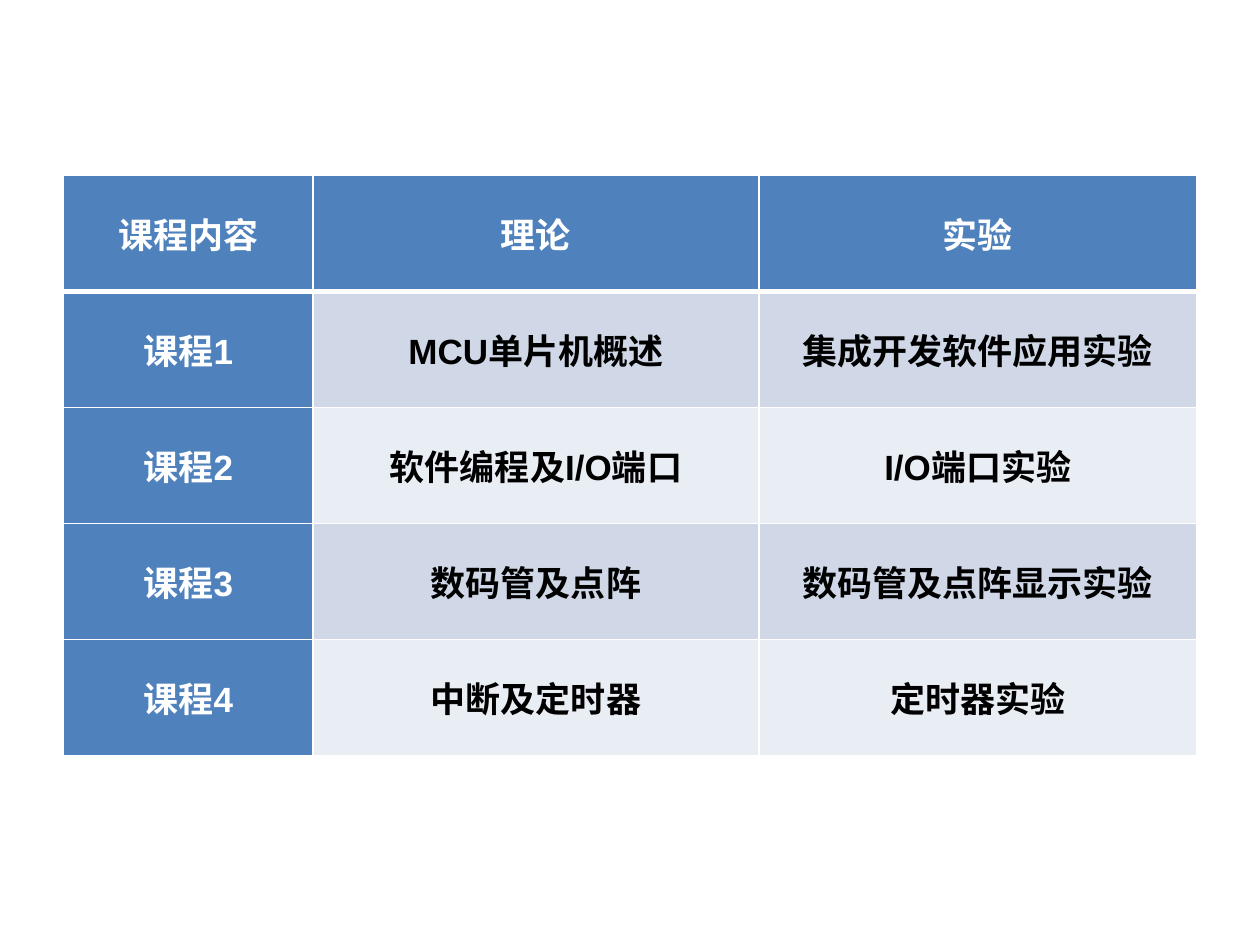
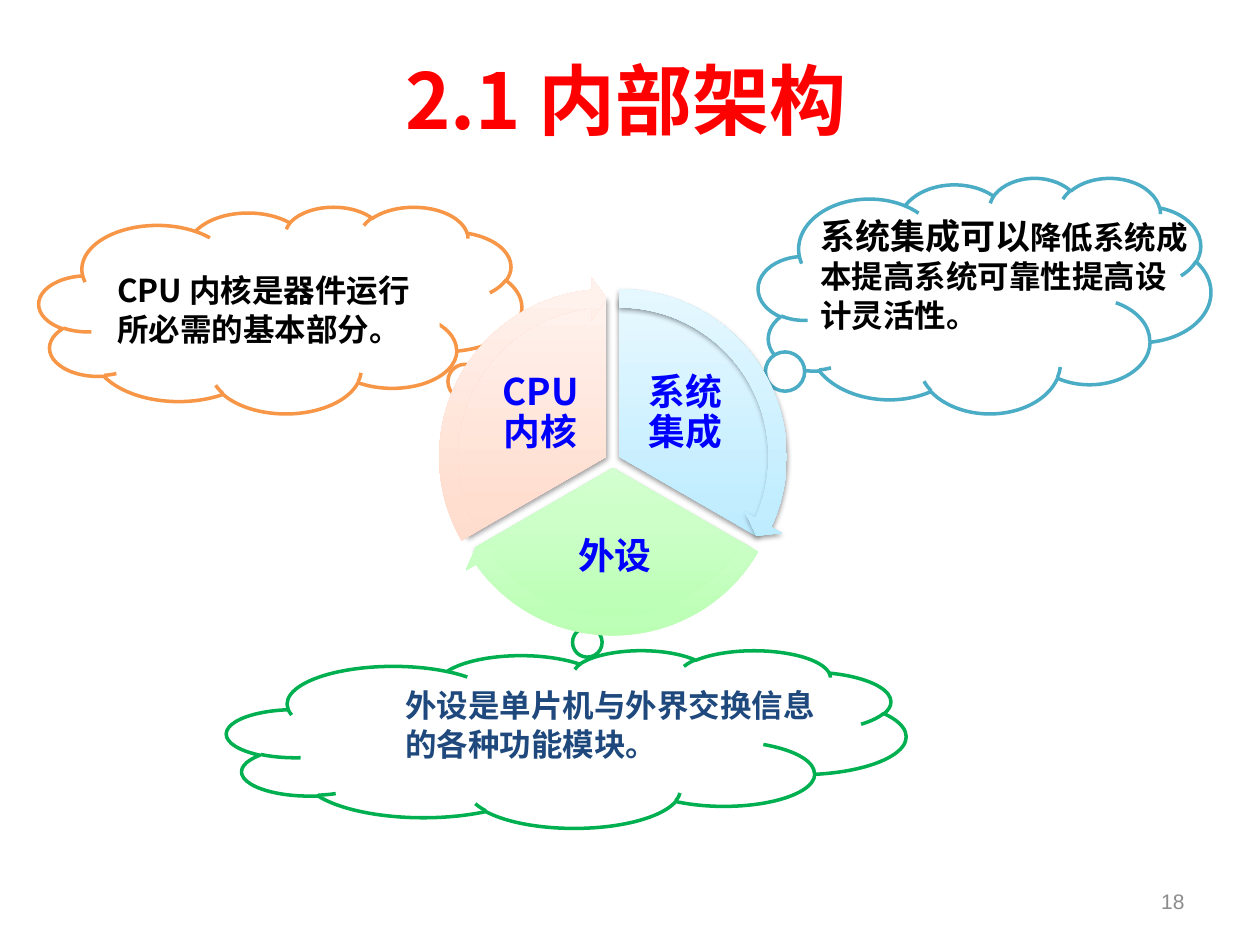
from lxml.etree import SubElement
from pptx import Presentation
from pptx.dml.color import RGBColor
from pptx.enum.shapes import MSO_SHAPE as Preset
from pptx.enum.text import MSO_ANCHOR as Anchor, PP_ALIGN as Align
from pptx.oxml.ns import qn
from pptx.util import Pt

ARIAL, NOTO = "Arial", "Noto Sans CJK SC"
WHITE, BLACK, RED, BLUE = "FFFFFF", "000000", "FF0000", "0000FF"
NAVY, GREY = "1F497D", "8C8C8C"
HEADER, BAND_DARK, BAND_LIGHT = "4F81BD", "D0D8E8", "E9EDF4"
ORANGE, TEAL, GREEN = "F79646", "4BACC6", "00B050"

COURSES = [
    ("课程内容", "理论", "实验"),
    ("课程1", "MCU单片机概述", "集成开发软件应用实验"),
    ("课程2", "软件编程及I/O端口", "I/O端口实验"),
    ("课程3", "数码管及点阵", "数码管及点阵显示实验"),
    ("课程4", "中断及定时器", "定时器实验"),
]

CLOUDS = [  # box, tail, outline
    ((129.6, 371.5, 388.1, 101.5), (0.039, -0.688), GREEN),
    ((433.4, 101.5, 258.5, 134.6), (-0.544, 0.399), TEAL),
    ((22.3, 118.1, 275.8, 118.1), (0.429, 0.388), ORANGE),
]

PIE_SIZE, ARROW_OUTSET = 182.16, 11.52
ANGLE_UNIT = 0.6  # one degree in adjustment units
ARROW_HEAD = 3.275
SECTORS = [  # label, label box, pie corner, start and end degrees, gradient, arrow shadow
    ("系统集成", (359.3, 208.8, 64.8, 54), (262.8, 169.9), 270, 30,
     ("A7E6FF", "C1EDFF", "E7F8FF"), True),
    ("外设", (302.4, 294.5, 97.9, 47.5), (259.2, 176.4), 30, 150,
     ("B9FFB2", "CDFFC9", "ECFFEA"), False),
    ("CPU 内核", (276.5, 208.8, 64.8, 54), (255.6, 169.9), 150, 270,
     ("FFD2BD", "FFDED0", "FFF2ED"), False),
]


def rgb(hex_color):
    return RGBColor.from_string(hex_color)


def points(box):
    return [Pt(length) for length in box]


def write(frame, text, font=NOTO, size=18, color=BLACK, bold=True, align=Align.LEFT,
          anchor=Anchor.TOP, inset=None, line_height=None):
    """Fill a frame with one paragraph; text is a string or (string, size) pairs."""
    frame.word_wrap = True
    frame.vertical_anchor = anchor
    if inset is not None:
        frame.margin_left = frame.margin_right = Pt(inset)
        frame.margin_top = frame.margin_bottom = Pt(inset)
    paragraph = frame.paragraphs[0]
    paragraph.alignment = align
    if line_height:
        paragraph.line_spacing = Pt(line_height)
    for words, run_size in [(text, size)] if isinstance(text, str) else text:
        run = paragraph.add_run()
        run.text = words
        run.font.name, run.font.size, run.font.bold = font, Pt(run_size), bold
        run.font.color.rgb = rgb(color)
        latin = run.font._element.find(qn("a:latin"))
        east_asian = latin.makeelement(qn("a:ea"), {"typeface": NOTO})
        latin.addnext(east_asian)


def set_border(cell, side, width):
    line = SubElement(cell._tc.get_or_add_tcPr(), qn(f"a:ln{side}"), w=str(Pt(width)))
    fill = SubElement(line, qn("a:solidFill"))
    SubElement(fill, qn("a:srgbClr"), val=WHITE)


def set_gradient(shape, colors):
    shape.fill.gradient()
    shape.fill.gradient_angle = 90
    stops = shape._element.spPr.find(".//" + qn("a:gsLst"))
    for stop in list(stops):
        stops.remove(stop)
    for position, color in zip((0, 35, 100), colors):
        stop = SubElement(stops, qn("a:gs"), pos=str(position * 1000))
        SubElement(stop, qn("a:srgbClr"), val=color)


def add_shadow(shape):
    effects = shape._element.spPr.find(qn("a:effectLst"))
    shadow = SubElement(effects, qn("a:outerShdw"), blurRad=str(Pt(3.1)),
                        dist=str(Pt(1.6)), dir="5400000", rotWithShape="0")
    color = SubElement(shadow, qn("a:srgbClr"), val=BLACK)
    SubElement(color, qn("a:alpha"), val="38000")


class Deck:
    def __init__(self):
        self.presentation = Presentation()
        self.presentation.slide_width = Pt(720)
        self.presentation.slide_height = Pt(540)
        self.slide = None

    def new_slide(self, title=None):
        layout = self.presentation.slide_layouts[5 if title else 6]
        self.slide = self.presentation.slides.add_slide(layout)
        if title:
            heading = self.slide.shapes.title
            heading.left, heading.top, heading.width, heading.height = points((33.8, 11.5, 648, 90))
            write(heading.text_frame, title, size=44, color=RED,
                  align=Align.CENTER, anchor=Anchor.MIDDLE)

    def text(self, box, text, fill=None, **style):
        caption = self.slide.shapes.add_textbox(*points(box))
        if fill:
            caption.fill.solid()
            caption.fill.fore_color.rgb = rgb(fill)
        write(caption.text_frame, text, **style)

    def shape(self, preset, box, adjustments):
        shape = self.slide.shapes.add_shape(preset, *points(box))
        shape.shadow.inherit = False
        for index, value in enumerate(adjustments):
            shape.adjustments[index] = value
        return shape

    def cloud(self, box, tail, outline):
        cloud = self.shape(Preset.CLOUD_CALLOUT, box, tail)
        cloud.fill.solid()
        cloud.fill.fore_color.rgb = rgb(WHITE)
        cloud.line.color.rgb = rgb(outline)
        cloud.line.width = Pt(2)

    def wheel_part(self, preset, box, adjustments, colors, shadow=True):
        part = self.shape(preset, box, adjustments)
        set_gradient(part, colors)
        part.line.fill.background()
        if shadow:
            add_shadow(part)

    def table(self, left, top, widths, row_height, rows):
        box = (left, top, sum(widths), row_height * len(rows))
        table = self.slide.shapes.add_table(len(rows), len(widths), *points(box)).table
        for column, width in zip(table.columns, widths):
            column.width = Pt(width)
        for r, row in enumerate(rows):
            table.rows[r].height = Pt(row_height)
            for c, words in enumerate(row):
                cell = table.cell(r, c)
                heading = r == 0 or c == 0
                cell.margin_left = cell.margin_right = Pt(5)
                cell.margin_top = cell.margin_bottom = 0
                cell.vertical_anchor = Anchor.MIDDLE
                write(cell.text_frame, words, font=ARIAL, size=20, align=Align.CENTER,
                      anchor=None, color=WHITE if heading else BLACK)
                for side in "LRTB":
                    under_header = (r, side) in ((0, "B"), (1, "T"))
                    set_border(cell, side, 3 if under_header else 1)
                cell.fill.solid()
                band = BAND_DARK if r % 2 else BAND_LIGHT
                cell.fill.fore_color.rgb = rgb(HEADER if heading else band)


def build_course_plan(deck):
    deck.new_slide()
    deck.table(36.4, 100.3, (142.4, 255, 250), 66.3, COURSES)


def build_architecture(deck):
    deck.new_slide("2.1 内部架构")
    for cloud in CLOUDS:
        deck.cloud(*cloud)

    for label, label_box, corner, start, end, colors, _ in SECTORS:
        deck.wheel_part(Preset.PIE, (*corner, PIE_SIZE, PIE_SIZE),
                        (start * ANGLE_UNIT, end * ANGLE_UNIT), colors)
        deck.text(label_box, label, size=21, color=BLUE, align=Align.CENTER,
                  anchor=Anchor.MIDDLE, inset=2.1, line_height=23)
    arrow_size = PIE_SIZE + 2 * ARROW_OUTSET
    for _, _, (left, top), start, end, colors, shadow in SECTORS:
        box = (left - ARROW_OUTSET, top - ARROW_OUTSET, arrow_size, arrow_size)
        sweep = (0.051, ARROW_HEAD, end * ANGLE_UNIT - ARROW_HEAD, start * ANGLE_UNIT, 0.059)
        deck.wheel_part(Preset.CIRCULAR_ARROW, box, sweep, colors, shadow)

    deck.text((59.8, 151.2, 191.5, 51), "CPU 内核是器件运行所必需的基本部分。",
              fill=WHITE, line_height=22)
    deck.text((461.5, 121, 224.6, 75),
              [("系统集成可以", 20), ("降低系统成本提高系统可靠性提高设计灵活性。", 18)],
              line_height=22)
    deck.text((224.6, 388.1, 258.5, 72.7), "外设是单片机与外界交换信息的各种功能模块。",
              color=NAVY, line_height=22)
    deck.text((516.2, 500.4, 167.8, 28.8), "18", font=ARIAL, size=12, color=GREY,
              bold=False, align=Align.RIGHT, anchor=Anchor.MIDDLE)


def main():
    deck = Deck()
    build_course_plan(deck)
    build_architecture(deck)
    deck.presentation.save("out.pptx")


if __name__ == "__main__":
    main()
